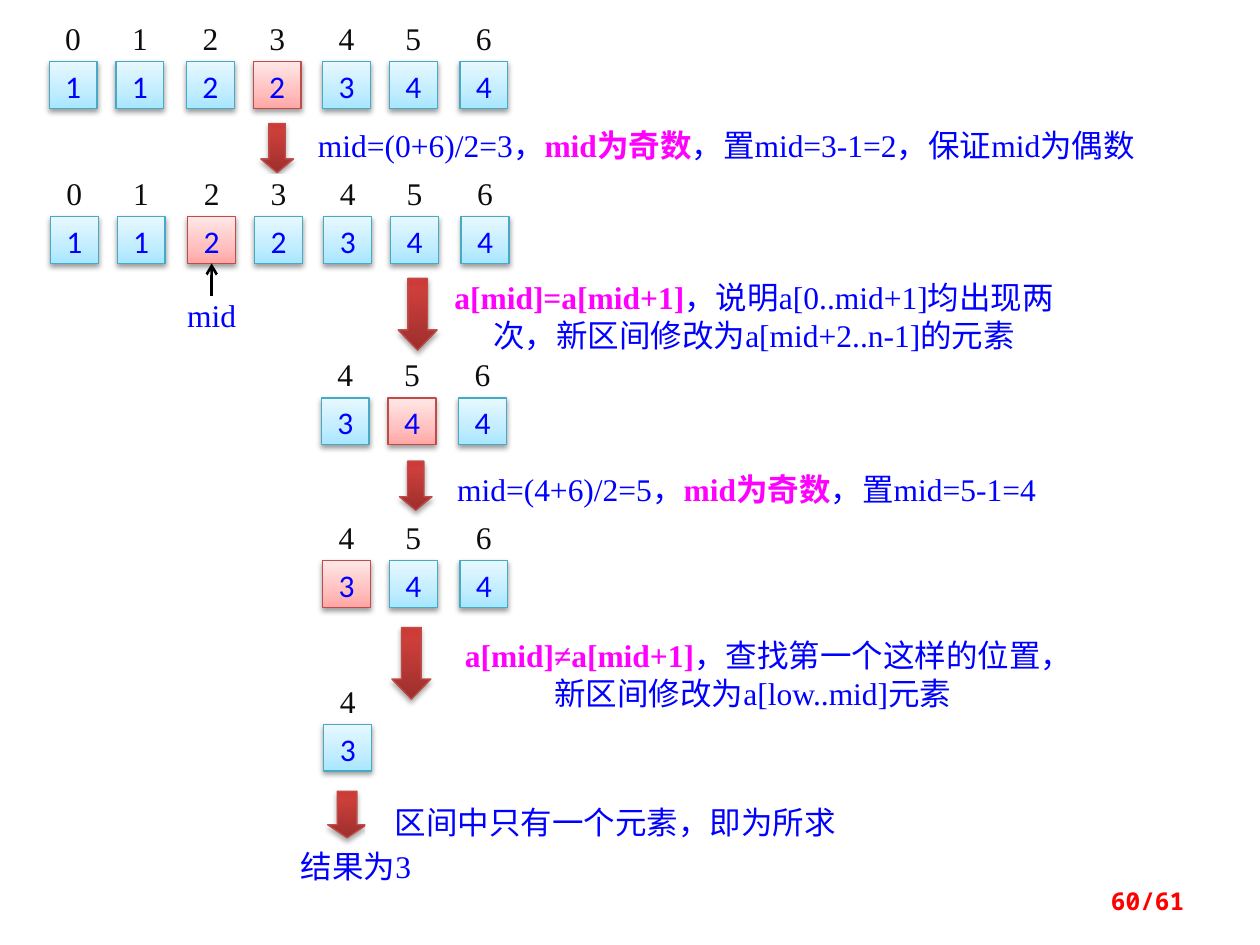
from dataclasses import dataclass
from typing import NamedTuple

import pptx
import pptx.util
import pptx.dml.color
import pptx.enum.shapes
import pptx.enum.text
import pptx.oxml
import pptx.oxml.ns
from lxml import etree

SHAPE = pptx.enum.shapes.MSO_SHAPE
ALIGN = pptx.enum.text.PP_ALIGN
ANCHOR = pptx.enum.text.MSO_ANCHOR
qn = pptx.oxml.ns.qn
Pt = pptx.util.Pt


class Look(NamedTuple):
    """Gradient stops (percent, colour) from the bottom up, outline and shadow."""
    stops: tuple
    edge: str
    alpha: int
    drop: float


@dataclass(frozen=True)
class Theme:
    serif: str = "Times New Roman"
    sans: str = "Calibri"
    mono: str = "Noto Sans Mono"
    body: int = 18
    foot: int = 14
    blue: str = "0000FF"
    pink: str = "FF00FF"
    ink: str = "0D0D0D"
    red: str = "FF0000"
    black: str = "000000"
    paper: str = "FFFFFF"
    cell: Look = Look(((0, "A7E6FF"), (35, "C1EDFF"), (100, "E7F8FF")), "46AAC5", 38, 1.6)
    pick: Look = Look(((0, "FFA6A5"), (35, "FFC0BF"), (100, "FFE7E7")), "BF4C48", 38, 1.6)
    arrow: Look = Look(((0, "9C2F2D"), (80, "CB3E3A"), (100, "CE3B37")), "BF4C48", 35, 1.8)


class Box(NamedTuple):
    """Left, top, width and height in grid units."""
    x: float
    y: float
    w: float
    h: float


class Run(NamedTuple):
    text: str
    key: bool = False


class Row(NamedTuple):
    """Array cells from index low up; pick is the index shown in red."""
    x: float
    y: float
    low: int
    high: int
    pick: int = -1


class Arrow(NamedTuple):
    box: Box
    head: float


class Note(NamedTuple):
    box: Box
    runs: tuple


THEME = Theme()
UNIT = pptx.util.Inches(10) // 100      # the slide is 100 columns by 75 rows
DATA = (1, 1, 2, 2, 3, 4, 4)
STOPS = (0, 5.3, 10.9, 16.2, 21.7, 27, 32.6)   # left of each array column
SIDE, TALL = 3.8, 3.7
RISE, LABEL = 3.4, 2.5                  # index label: distance above cell, height


def place(box: Box) -> list:
    return [round(v * UNIT) for v in box]


def rgb(code: str):
    return pptx.dml.color.RGBColor.from_string(code)


def write(shape, runs: tuple, font: str, tint: str, size: int, top: float = 0) -> None:
    frame = shape.text_frame
    frame.word_wrap = True
    frame.vertical_anchor = ANCHOR.TOP
    frame.margin_left = frame.margin_right = frame.margin_bottom = 0
    frame.margin_top = round(top * UNIT)
    para = frame.paragraphs[0]
    para.alignment = ALIGN.CENTER
    for part in runs:
        run = para.add_run()
        run.text = part.text
        run.font.name = font
        run.font.size = Pt(size)
        run.font.bold = part.key
        run.font.color.rgb = rgb(THEME.pink if part.key else tint)


def gloss(shape, look: Look) -> None:
    """Give a shape its gradient, outline and soft shadow."""
    shape.fill.gradient()
    shape.fill.gradient_angle = 90
    shape.line.color.rgb = rgb(look.edge)
    shape.line.width = Pt(0.75)
    shape.shadow.inherit = False
    props = shape._element.spPr
    stops = props.find(qn("a:gradFill")).find(qn("a:gsLst"))
    for old in list(stops):
        stops.remove(old)
    for share, code in look.stops:
        stop = etree.SubElement(stops, qn("a:gs"), pos=str(share * 1000))
        etree.SubElement(stop, qn("a:srgbClr"), val=code)
    shade = etree.SubElement(
        props.find(qn("a:effectLst")), qn("a:outerShdw"), blurRad=str(int(Pt(3.1))),
        dist=str(int(Pt(look.drop))), dir="5400000", rotWithShape="0")
    tone = etree.SubElement(shade, qn("a:srgbClr"), val=THEME.black)
    etree.SubElement(tone, qn("a:alpha"), val=str(look.alpha * 1000))


def panel(shapes, box: Box, runs: tuple, tint: str = THEME.blue):
    """Draw a plain white box of serif text."""
    shape = shapes.add_shape(SHAPE.RECTANGLE, *place(box))
    shape.fill.solid()
    shape.fill.fore_color.rgb = rgb(THEME.paper)
    shape.line.fill.background()
    shape.shadow.inherit = False
    write(shape, runs, THEME.serif, tint, THEME.body)
    return shape


def array(shapes, row: Row) -> dict:
    """Draw the cells with their index labels; return cells by index."""
    cells = {}
    for i in range(row.low, row.high + 1):
        x = row.x + STOPS[i]
        cell = shapes.add_shape(SHAPE.RECTANGLE, *place(Box(x, row.y, SIDE, TALL)))
        gloss(cell, THEME.pick if i == row.pick else THEME.cell)
        write(cell, (Run(str(DATA[i])),), THEME.sans, THEME.blue, THEME.body, 0.4)
        panel(shapes, Box(x, row.y - RISE, SIDE, LABEL), (Run(str(i)),), THEME.ink)
        cells[i] = cell
    return cells


def down(shapes, arrow: Arrow) -> None:
    shape = shapes.add_shape(SHAPE.DOWN_ARROW, *place(arrow.box))
    shape.adjustments[0] = 0.5
    shape.adjustments[1] = arrow.head
    gloss(shape, THEME.arrow)


def link(shapes, start, end) -> None:
    """Point from the top of one box to the bottom of another."""
    line = shapes.add_connector(pptx.enum.shapes.MSO_CONNECTOR.STRAIGHT, 0, 0, 0, 0)
    line.begin_connect(start, 0)
    line.end_connect(end, 2)
    line.line.color.rgb = rgb(THEME.black)
    line.line.width = Pt(1.5)
    props = line._element.spPr
    etree.SubElement(props.find(qn("a:ln")), qn("a:tailEnd"), type="arrow")
    etree.SubElement(props, qn("a:effectLst"))


def footer(shapes, text: str) -> None:
    shape = shapes.add_textbox(*place(Box(71.7, 69.5, 23.3, 4)))
    frame = shape.text_frame
    frame.word_wrap = True
    frame.vertical_anchor = ANCHOR.MIDDLE
    para = frame.paragraphs[0]
    para.alignment = ALIGN.RIGHT
    run = para.add_run()
    run.text = text
    run.font.name = THEME.mono
    run.font.size = Pt(THEME.foot)
    run.font.bold = True
    run.font.color.rgb = rgb(THEME.red)


PARTS = (
    Row(3.9, 4.9, 0, 6, 3),
    Arrow(Box(20.7, 9.8, 2.6, 3.9), 0.416),
    Note(Box(23.9, 10, 67.5, 3.3), (
        Run("mid=(0+6)/2=3，"), Run("mid为奇数", True), Run("，置mid=3-1=2，保证mid为偶数"))),
    Row(4, 17.2, 0, 6, 2),
    Note(Box(35.4, 22.1, 48.9, 6), (
        Run("a[mid]=a[mid+1]", True),
        Run("，说明a[0..mid+1]均出现两次，新区间修改为a[mid+2..n-1]的元素"))),
    Row(3.8, 31.6, 4, 6, 5),
    Arrow(Box(31.7, 36.6, 2.6, 3.9), 0.416),
    Note(Box(34.9, 37.3, 48.7, 3.2), (
        Run("mid=(4+6)/2=5，"), Run("mid为奇数", True), Run("，置mid=5-1=4"))),
    Row(3.9, 44.5, 4, 6, 4),
    Arrow(Box(31.1, 49.8, 3.1, 5.7), 0.518),
    Note(Box(35.9, 50.5, 47.7, 6.2), (
        Run("a[mid]≠a[mid+1]", True), Run("，查找第一个这样的位置，新区间修改为a[low..mid]元素"))),
    Row(4, 57.5, 4, 4),
    Arrow(Box(26, 62.8, 3.1, 3.7), 0.336),
    Note(Box(29, 63.7, 39.7, 2.6), (Run("区间中只有一个元素，即为所求"),)),
    Note(Box(23.7, 67.2, 9.1, 2.6), (Run("结果为3"),)),
    Arrow(Box(31.6, 22.1, 3.1, 5.7), 0.518),
)


def main() -> None:
    deck = pptx.Presentation()
    deck.slide_width, deck.slide_height = 100 * UNIT, 75 * UNIT
    shapes = deck.slides.add_slide(deck.slide_layouts[6]).shapes
    rows = []
    for part in PARTS:
        if isinstance(part, Row):
            rows.append(array(shapes, part))
        elif isinstance(part, Arrow):
            down(shapes, part)
        else:
            panel(shapes, part.box, part.runs)
    mid = panel(shapes, Box(14.1, 23.5, 5.4, 2.5), (Run("mid"),))
    link(shapes, mid, rows[1][2])
    footer(shapes, "60/61")
    deck.save("out.pptx")


if __name__ == "__main__":
    main()
